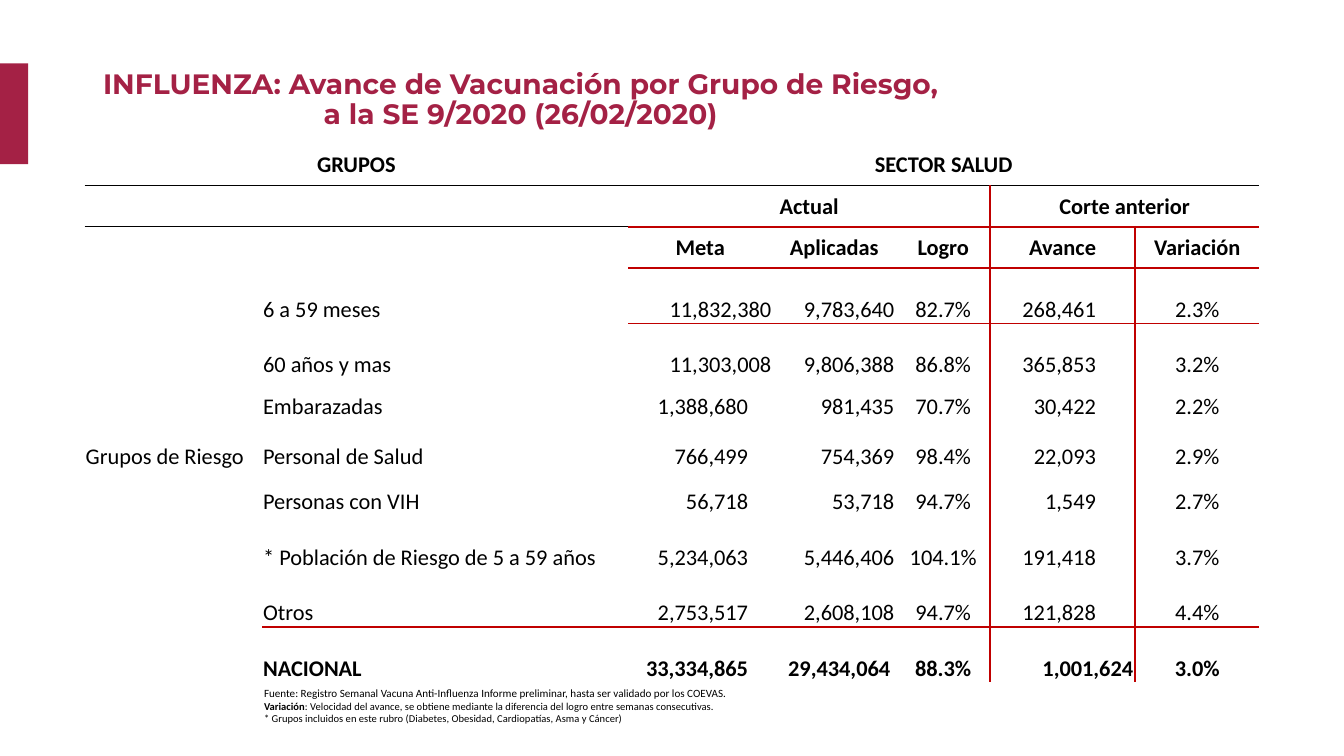
"""Build the influenza vaccination progress slide."""
from dataclasses import dataclass

from lxml import etree
from pptx import Presentation
from pptx.dml.color import RGBColor
from pptx.enum.shapes import MSO_SHAPE
from pptx.enum.text import MSO_ANCHOR, PP_ALIGN
from pptx.oxml.ns import qn
from pptx.util import Pt

PX = 9144
RECT = MSO_SHAPE.RECTANGLE
LEFT, CENTER, RIGHT = PP_ALIGN.LEFT, PP_ALIGN.CENTER, PP_ALIGN.RIGHT
MIDDLE, BOTTOM = MSO_ANCHOR.MIDDLE, MSO_ANCHOR.BOTTOM
COLORS = {"wine": "A42145", "red": "C00000", "black": "000000"}
NO_STYLE = "{2D5ABB26-0587-4C30-8999-92F81FD0307C}"
COL_WIDTHS = (176, 363, 143, 123, 93, 144, 123)
HEADER_HEIGHT = 41
HEADER_ROWS = 3
DIVIDER_COL, DIVIDER_TOP = 5, 1


@dataclass(frozen=True)
class Header:
    row: int
    col: int
    text: str
    span: int = 1


@dataclass(frozen=True)
class Group:
    """One data row; each gap is the space to the right of a number."""
    label: str
    meta: str
    applied: str
    logro: str
    advance: str
    variation: str
    height: int = 55
    meta_gap: int = 24
    applied_gap: int = 2
    advance_gap: int = 39
    side: str = ""
    bold: bool = False


@dataclass(frozen=True)
class Rule:
    """A horizontal line above a row, from a column to the right edge."""
    row: int
    first_col: int
    color: str = "red"
    width: float = 1.5


HEADERS = (
    Header(0, 0, "GRUPOS", 2),
    Header(0, 2, "SECTOR SALUD", 5),
    Header(1, 2, "Actual", 3),
    Header(1, 5, "Corte anterior", 2),
    Header(2, 2, "Meta"),
    Header(2, 3, "Aplicadas"),
    Header(2, 4, "Logro"),
    Header(2, 5, "Avance"),
    Header(2, 6, "Variación"),
)
GROUPS = (
    Group("6 a 59 meses", "11,832,380", "9,783,640", "82.7%", "268,461", "2.3%", meta_gap=1),
    Group("60 años y mas", "11,303,008", "9,806,388", "86.8%", "365,853", "3.2%", meta_gap=1),
    Group("Embarazadas", "1,388,680", "981,435", "70.7%", "30,422", "2.2%", height=41),
    Group("Personal de Salud", "766,499", "754,369", "98.4%", "22,093", "2.9%", height=50,
          side="Grupos de Riesgo"),
    Group("Personas con VIH", "56,718", "53,718", "94.7%", "1,549", "2.7%", height=45),
    Group("* Población de Riesgo de 5 a 59 años", "5,234,063", "5,446,406", "104.1%",
          "191,418", "3.7%"),
    Group("Otros", "2,753,517", "2,608,108", "94.7%", "121,828", "4.4%"),
    Group("NACIONAL", "33,334,865", "29,434,064", "88.3%", "1,001,624", "3.0%",
          applied_gap=6, advance_gap=2, bold=True),
)
RULES = (Rule(1, 0, "black", 0.75), Rule(2, 2), Rule(3, 2), Rule(10, 1))
NOTES = (
    (("Fuente: Registro Semanal Vacuna Anti-Influenza Informe preliminar, "
      "hasta ser validado por los COEVAS.", 7.9, False),),
    (("Variación", 7.5, True),
     (": Velocidad del avance, se obtiene mediante la diferencia del logro "
      "entre semanas consecutivas.", 7.5, False)),
    (("* Grupos incluidos en este rubro (Diabetes, Obesidad, Cardiopatías, "
      "Asma y Cáncer)", 7.5, False),),
)


def write(p, text: str, *, size: float = 16, font: str = "Calibri", color: str = "black",
          bold: bool = False, align=LEFT) -> None:
    """Add formatted text to a paragraph, with a line break at each newline."""
    p.alignment = align
    for i, line in enumerate(text.split("\n")):
        if i:
            p.add_line_break()
        r = p.add_run()
        r.text = line
        r.font.size, r.font.name, r.font.bold = Pt(size), font, bold
        r.font.color.rgb = RGBColor.from_string(COLORS[color])


def add_border(cell, side: str, color: str, width: float) -> None:
    """Draw one side (L, R, T or B) of a cell."""
    ln = etree.SubElement(cell._tc.get_or_add_tcPr(), qn(f"a:ln{side}"), w=str(Pt(width)))
    fill = etree.SubElement(ln, qn("a:solidFill"))
    etree.SubElement(fill, qn("a:srgbClr"), val=COLORS[color])


def format_cell(cell, row: int, col: int) -> None:
    """Set the margins, anchor, borders and fill of a cell."""
    cell.margin_left = cell.margin_right = cell.margin_top = PX
    cell.margin_bottom = 0
    cell.vertical_anchor = MIDDLE if row < HEADER_ROWS else BOTTOM
    end_col = col + (cell.span_width if cell.is_merge_origin else 1)
    if row >= DIVIDER_TOP:
        if col == DIVIDER_COL:
            add_border(cell, "L", "red", 1.5)
        if end_col == DIVIDER_COL:
            add_border(cell, "R", "red", 1.5)
    for side, edge in (("T", row), ("B", row + 1)):
        for rule in RULES:
            if rule.row == edge and col >= rule.first_col:
                add_border(cell, side, rule.color, rule.width)
    cell.fill.background()


def add_group(table, row: int, group: Group) -> None:
    """Write one data row."""
    values = (
        (group.side, LEFT, 1), (group.label, LEFT, 1),
        (group.meta, RIGHT, group.meta_gap), (group.applied, RIGHT, group.applied_gap),
        (group.logro, CENTER, 1), (group.advance, RIGHT, group.advance_gap),
        (group.variation, CENTER, 1),
    )
    for col, (text, align, gap) in enumerate(values):
        if text:
            cell = table.cell(row, col)
            cell.margin_right = gap * PX
            write(cell.text_frame.paragraphs[0], text, bold=group.bold, align=align)


def add_vaccination_table(s) -> None:
    """Add the table of risk groups."""
    heights = [HEADER_HEIGHT] * HEADER_ROWS + [group.height for group in GROUPS]
    table = s.shapes.add_table(len(heights), len(COL_WIDTHS), 84 * PX, 143 * PX,
                               sum(COL_WIDTHS) * PX, sum(heights) * PX).table
    table.first_row = table.horz_banding = False
    table._tbl.tblPr.find(qn("a:tableStyleId")).text = NO_STYLE
    for column, width in zip(table.columns, COL_WIDTHS):
        column.width = width * PX
    for row, height in zip(table.rows, heights):
        row.height = height * PX
    for h in HEADERS:
        cell = table.cell(h.row, h.col)
        if h.span > 1:
            cell.merge(table.cell(h.row, h.col + h.span - 1))
        write(cell.text_frame.paragraphs[0], h.text, bold=True, align=CENTER)
    for row in range(len(heights)):
        for col in range(len(COL_WIDTHS)):
            format_cell(table.cell(row, col), row, col)
    for row, group in enumerate(GROUPS, HEADER_ROWS):
        add_group(table, row, group)


def main() -> None:
    """Create the slide and save it."""
    prs = Presentation()
    prs.slide_width, prs.slide_height = 1333 * PX, 750 * PX
    s = prs.slides.add_slide(prs.slide_layouts[5])

    title = s.shapes.title
    title.left, title.top, title.width, title.height = 35 * PX, 66 * PX, 963 * PX, 68 * PX
    title.text_frame.vertical_anchor = MIDDLE
    p = title.text_frame.paragraphs[0]
    p.line_spacing = 0.9
    write(p, "INFLUENZA: Avance de Vacunación por Grupo de Riesgo,\na la SE 9/2020 (26/02/2020)",
          size=20, font="Montserrat", color="wine", bold=True, align=CENTER)

    bar = s.shapes.add_shape(RECT, 0, 63 * PX, 28 * PX, 100 * PX)
    bar.shadow.inherit = False
    bar.fill.solid()
    bar.fill.fore_color.rgb = RGBColor.from_string(COLORS["wine"])
    bar.line.fill.background()

    add_vaccination_table(s)

    tf = s.shapes.add_textbox(252 * PX, 676 * PX, 958 * PX, 49 * PX).text_frame
    tf.word_wrap = True
    for i, note in enumerate(NOTES):
        p = tf.add_paragraph() if i else tf.paragraphs[0]
        for text, size, bold in note:
            write(p, text, size=size, bold=bold)

    prs.save("out.pptx")


if __name__ == "__main__":
    main()
